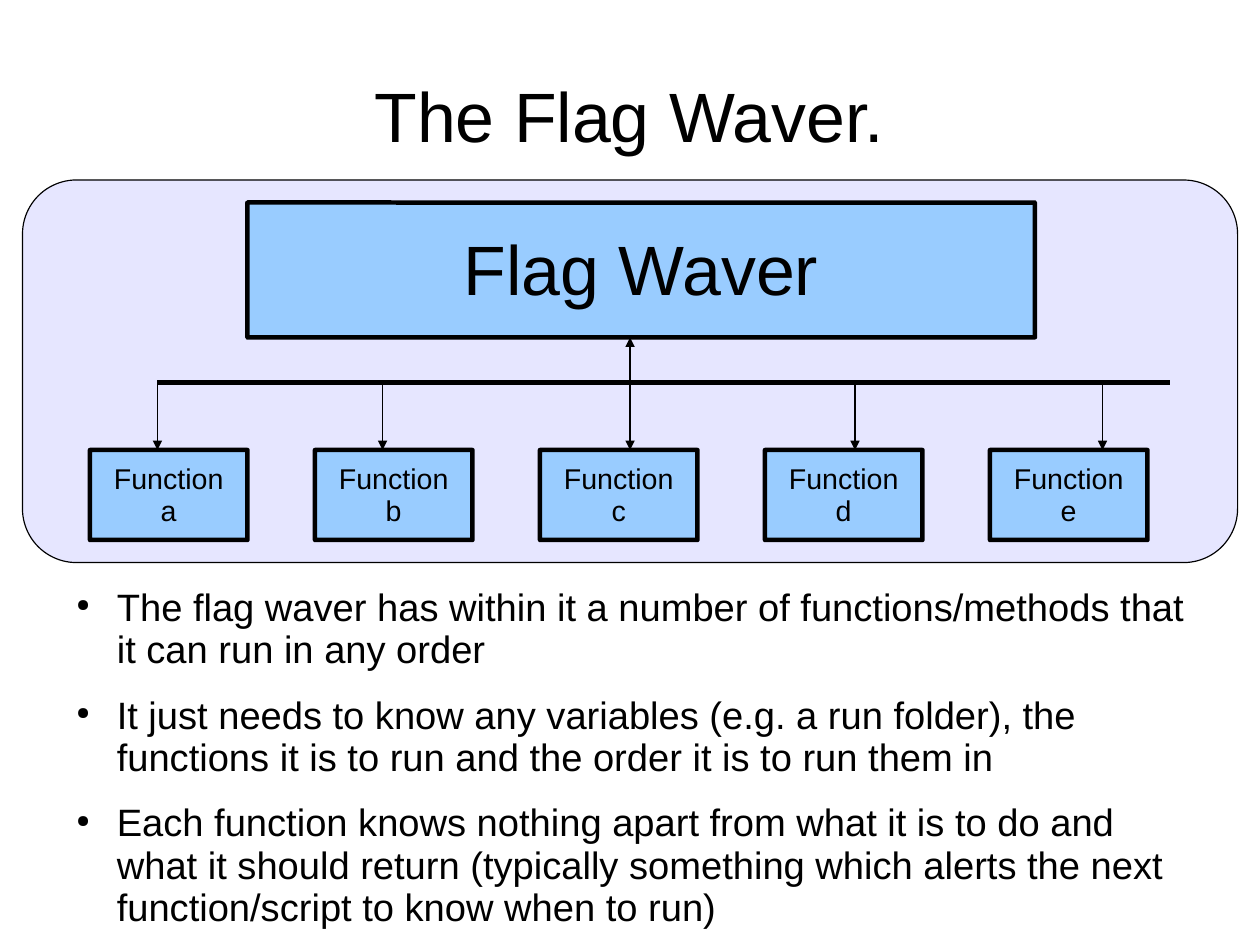
"""Builds the slide that explains the flag waver and its functions."""
from lxml import etree
from pptx import Presentation
from pptx.dml.color import RGBColor
from pptx.enum.shapes import MSO_CONNECTOR, MSO_SHAPE
from pptx.enum.text import MSO_ANCHOR, PP_ALIGN
from pptx.oxml.ns import qn
from pptx.util import Pt

ROUNDED = MSO_SHAPE.ROUNDED_RECTANGLE
STRAIGHT = MSO_CONNECTOR.STRAIGHT
MIDDLE, TOP = MSO_ANCHOR.MIDDLE, MSO_ANCHOR.TOP
CENTER, LEFT = PP_ALIGN.CENTER, PP_ALIGN.LEFT
BLACK, PANEL_FILL, BOX_FILL = "000000", "E6E6FF", "99CCFF"
THIN, THICK = 0.75, 2.83


def color(value):
    """Turns a hex string into a colour."""
    return RGBColor.from_string(value)


def write(shape, texts, size, margins, anchor=MIDDLE, alignment=CENTER):
    """Fills a shape with one paragraph per text and returns the paragraphs."""
    frame = shape.text_frame
    frame.word_wrap = True
    frame.vertical_anchor = anchor
    left, top, right, bottom = (Pt(margin) for margin in margins)
    frame.margin_left, frame.margin_top = left, top
    frame.margin_right, frame.margin_bottom = right, bottom
    for index, text in enumerate(texts):
        paragraph = frame.add_paragraph() if index else frame.paragraphs[0]
        paragraph.alignment = alignment
        paragraph.line_spacing = 0.93
        run = paragraph.add_run()
        run.text = text
        run.font.name = "Arial"
        run.font.size = Pt(size)
        run.font.color.rgb = color(BLACK)
    return frame.paragraphs


presentation = Presentation()
presentation.slide_width, presentation.slide_height = Pt(793.7), Pt(595.3)
slide = presentation.slides.add_slide(presentation.slide_layouts[6])
shapes = slide.shapes

boxes = [
    (14.2, 113.4, 765.4, 241, 0.141, PANEL_FILL, THIN, None, 0),
    (155.9, 127.6, 496, 85, 0.001, BOX_FILL, THICK, "Flag Waver", 44),
]
for index, letter in enumerate("abcde"):
    boxes.append((56.7 + 141.73 * index, 283.5, 99.2, 56.7, 0.002,
                  BOX_FILL, THICK, f"Function {letter}", 18))

for left, top, width, height, rounding, fill, weight, text, size in boxes:
    box = shapes.add_shape(ROUNDED, Pt(left), Pt(top), Pt(width), Pt(height))
    box.adjustments[0] = rounding
    box.shadow.inherit = False
    box.fill.solid()
    box.fill.fore_color.rgb = color(fill)
    box.line.color.rgb = color(BLACK)
    box.line.width = Pt(weight)
    if text:
        write(box, [text], size, (8.6, 6.5 if size == 18 else 7.9, 8.6, 5))

rail_y, flag_waver_bottom, function_top = 241, 212.6, 283.5
lines = [
    (99.2, 737, rail_y, THICK),
    (396.9, 396.9, flag_waver_bottom, THIN),
]
for x in (99.2, 241, 396.9, 538.6, 694.5):
    lines.append((x, x, function_top, THIN))

for start_x, end_x, end_y, weight in lines:
    line = shapes.add_connector(STRAIGHT, Pt(start_x), Pt(rail_y), Pt(end_x), Pt(end_y))
    line.line.color.rgb = color(BLACK)
    line.line.width = Pt(weight)
    if end_y != rail_y:
        outline = line.line._get_or_add_ln()
        etree.SubElement(outline, qn("a:tailEnd"), type="triangle")
    etree.SubElement(line._element.spPr, qn("a:effectLst"))

title = shapes.add_textbox(Pt(39.6), Pt(23.8), Pt(714), Pt(99.4))
write(title, ["The Flag Waver."], 44, (0, 2.9, 0, 0))

points = [
    "The flag waver has within it a number of functions/methods that it can run in any order",
    "It just needs to know any variables (e.g. a run folder), the functions it is to run "
    "and the order it is to run them in",
    "Each function knows nothing apart from what it is to do and what it should return "
    "(typically something which alerts the next function/script to know when to run)",
]
body = shapes.add_textbox(Pt(39.6), Pt(368.6), Pt(711.4), Pt(224))
for paragraph in write(body, points, 24, (0, 1.4, 0, 0), TOP, LEFT):
    paragraph.space_after = Pt(14.3)
    properties = paragraph._p.get_or_add_pPr()
    properties.set("marL", str(Pt(34)))
    properties.set("indent", str(Pt(-25.5)))
    bullet_color = etree.SubElement(properties, qn("a:buClr"))
    etree.SubElement(bullet_color, qn("a:srgbClr"), val=BLACK)
    etree.SubElement(properties, qn("a:buSzPct"), val="45000")
    etree.SubElement(properties, qn("a:buChar"), char="●")

presentation.save("out.pptx")
